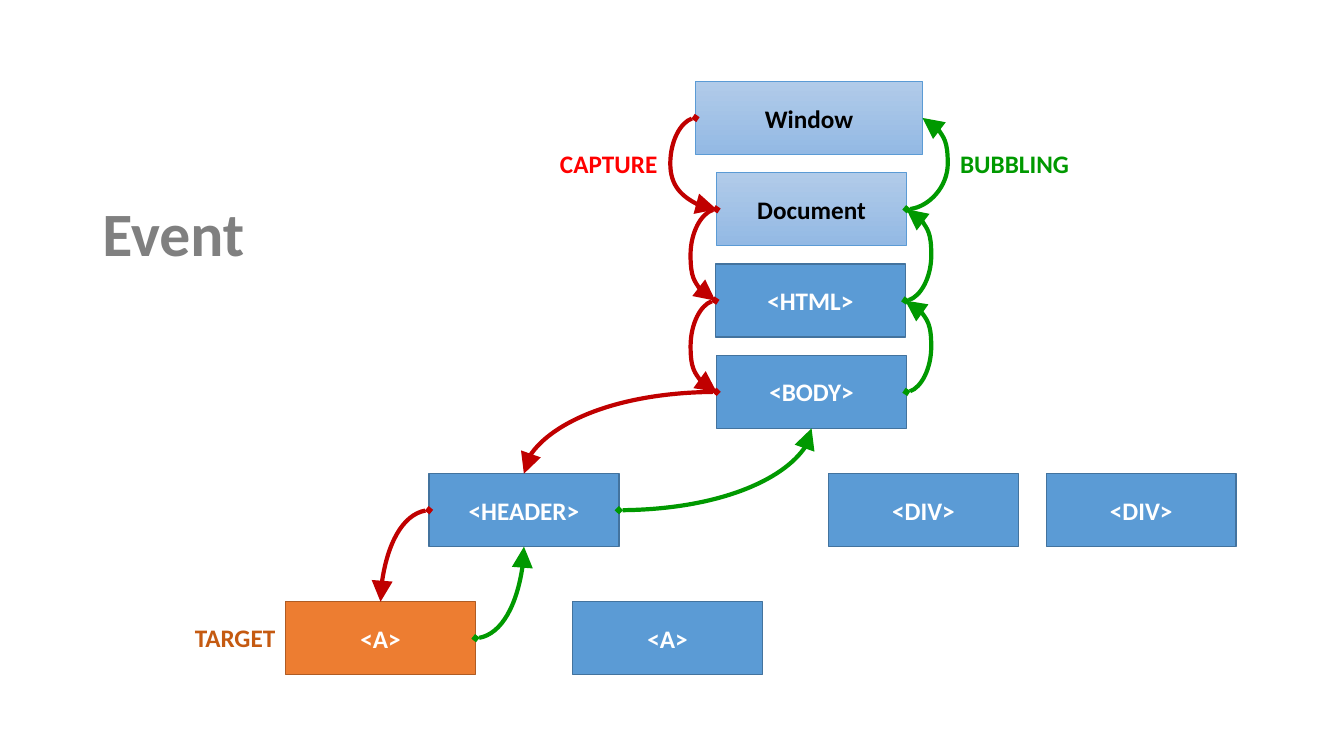
from dataclasses import dataclass
from typing import Any

from lxml import etree
from pptx import Presentation
from pptx.dml.color import RGBColor
from pptx.enum.shapes import MSO_CONNECTOR, MSO_SHAPE
from pptx.enum.text import MSO_ANCHOR, MSO_AUTO_SIZE, PP_ALIGN
from pptx.oxml.ns import qn
from pptx.util import Inches, Pt

RECT = MSO_SHAPE.RECTANGLE
CURVE = MSO_CONNECTOR.CURVE
MIDDLE, TOP = MSO_ANCHOR.MIDDLE, MSO_ANCHOR.TOP
LEFT, CENTER, RIGHT = PP_ALIGN.LEFT, PP_ALIGN.CENTER, PP_ALIGN.RIGHT
FIXED = MSO_AUTO_SIZE.NONE

WIDE, HIGH = Inches(13.33), Inches(7.5)
BOX_W, BOX_H = 14.13, 9.65
FIRST, STEP = 10.78, 12.08
HEAD_ROW, LINK_ROW = 62.67, 79.6
BULGE = Inches(0.25)
UP, WEST, DOWN, EAST = range(4)
TIPS = (("a:headEnd", "diamond", "sm"), ("a:tailEnd", "triangle", "lg"))


@dataclass(frozen=True)
class Theme:
    font: str = "Calibri"
    title: int = 44
    body: int = 18
    grey: str = "808080"
    black: str = "000000"
    white: str = "FFFFFF"
    blue: str = "5B9BD5"
    navy: str = "43739E"
    pale: str = "B1CBE9"
    sky: str = "93B9E4"
    orange: str = "ED7D31"
    rust: str = "AF5C24"
    brown: str = "C55A11"
    red: str = "FF0000"
    wine: str = "C00000"
    green: str = "009900"


THEME = Theme()


@dataclass(frozen=True)
class Style:
    fills: tuple[str, ...]
    line: str
    weight: float
    ink: str


ROOT = Style((THEME.pale, THEME.sky), THEME.blue, 0.5, THEME.black)
NODE = Style((THEME.blue,), THEME.navy, 1, THEME.white)
GOAL = Style((THEME.orange,), THEME.rust, 1, THEME.white)


@dataclass(frozen=True)
class Box:
    key: str
    text: str
    left: float
    top: float
    style: Style = NODE
    width: float = BOX_W


@dataclass(frozen=True)
class Arrow:
    start: str
    side: int
    end: str
    port: int
    color: str


@dataclass(frozen=True)
class Label:
    text: str
    left: float
    top: float
    color: str
    align: Any


BOXES = [
    Box("window", "Window", 51.75, FIRST, ROOT, 16.9),
    Box("doc", "Document", 53.32, FIRST + STEP, ROOT),
    Box("html", "<HTML>", 53.23, FIRST + 2 * STEP),
    Box("body", "<BODY>", 53.32, FIRST + 3 * STEP),
    Box("header", "<HEADER>", 31.92, HEAD_ROW),
    Box("div", "<DIV>", 61.65, HEAD_ROW),
    Box("div2", "<DIV>", 77.85, HEAD_ROW),
    Box("link", "<A>", 21.25, LINK_ROW, GOAL),
    Box("link2", "<A>", 42.6, LINK_ROW),
]
CHAIN = ["window", "doc", "html", "body", "header", "link"]
STACK = 3
LABELS = [
    Label("CAPTURE", 36.45, 18.93, THEME.red, RIGHT),
    Label("TARGET", 8.03, 81.68, THEME.brown, RIGHT),
    Label("BUBBLING", 70.7, 18.93, THEME.green, LEFT),
]


def plan() -> list[Arrow]:
    down, back = [], []
    for rank, (high, low) in enumerate(zip(CHAIN, CHAIN[1:])):
        stack = rank < STACK
        down.append(Arrow(high, WEST, low, WEST if stack else UP, THEME.wine))
        back.append(Arrow(low, EAST, high, EAST if stack else DOWN, THEME.green))
    return down + back[::-1]


def area(left: float, top: float, width: float, height: float) -> tuple[int, ...]:
    return (round(WIDE * left / 100), round(HIGH * top / 100),
            round(WIDE * width / 100), round(HIGH * height / 100))


def apply(item: Any, form: dict[str, Any]) -> None:
    for name, value in form.items():
        setattr(item, name, value)


def write(shape: Any, text: str, color: str, size: int, align: Any,
          anchor: Any, space: float = 1.0) -> None:
    frame = shape.text_frame
    frame.text = text
    apply(frame, {"word_wrap": True, "auto_size": FIXED, "vertical_anchor": anchor})
    para = frame.paragraphs[0]
    apply(para, {"alignment": align, "line_spacing": space})
    font = para.runs[0].font
    apply(font, {"name": THEME.font, "size": Pt(size), "bold": True})
    font.color.rgb = RGBColor.from_string(color)


def draw_box(slide: Any, box: Box) -> Any:
    shape = slide.shapes.add_shape(RECT, *area(box.left, box.top, box.width, BOX_H))
    shape.shadow.inherit = False
    style, fill = box.style, shape.fill
    if len(style.fills) > 1:
        fill.gradient()
        fill.gradient_angle = 270
        for stop, color in zip(fill.gradient_stops, style.fills):
            stop.color.rgb = RGBColor.from_string(color)
    else:
        fill.solid()
        fill.fore_color.rgb = RGBColor.from_string(style.fills[0])
    shape.line.color.rgb = RGBColor.from_string(style.line)
    shape.line.width = Pt(style.weight)
    write(shape, box.text, style.ink, THEME.body, CENTER, MIDDLE)
    return shape


def draw_arrow(slide: Any, arrow: Arrow, nodes: dict[str, Any]) -> None:
    link = slide.shapes.add_connector(CURVE, 0, 0, 0, 0)
    link.begin_connect(nodes[arrow.start], arrow.side)
    link.end_connect(nodes[arrow.end], arrow.port)
    link.line.color.rgb = RGBColor.from_string(arrow.color)
    link.line.width = Pt(3)
    props = link._element.spPr
    shape = props.find(qn("a:prstGeom"))
    if arrow.side == arrow.port:
        reach = BULGE if arrow.side == EAST else -BULGE
        edge = max if arrow.side == EAST else min
        bend = edge(link.begin_x, link.end_x) + reach - link.begin_x
        ratio = round(bend / (link.end_x - link.begin_x) * 100000)
        etree.SubElement(shape.find(qn("a:avLst")), qn("a:gd"),
                         name="adj1", fmla=f"val {ratio}")
    else:
        shape.set("prst", "curvedConnector2")
    line = props.find(qn("a:ln"))
    for tag, kind, size in TIPS:
        etree.SubElement(line, qn(tag), type=kind, w=size, len=size)
    etree.SubElement(props, qn("a:effectLst"))


def main() -> None:
    deck = Presentation()
    apply(deck, {"slide_width": WIDE, "slide_height": HIGH})
    slide = deck.slides.add_slide(deck.slide_layouts[5])
    title = slide.shapes.title
    apply(title, dict(zip(("left", "top", "width", "height"),
                          area(6.87, 21.6, 16.58, 19.33))))
    write(title, "Event", THEME.grey, THEME.title, LEFT, MIDDLE, 0.9)
    nodes = {box.key: draw_box(slide, box) for box in BOXES}
    for arrow in plan():
        draw_arrow(slide, arrow, nodes)
    for label in LABELS:
        shape = slide.shapes.add_textbox(*area(label.left, label.top, 13.2, 5.33))
        write(shape, label.text, label.color, THEME.body, label.align, TOP)
    deck.save("out.pptx")


if __name__ == "__main__":
    main()
